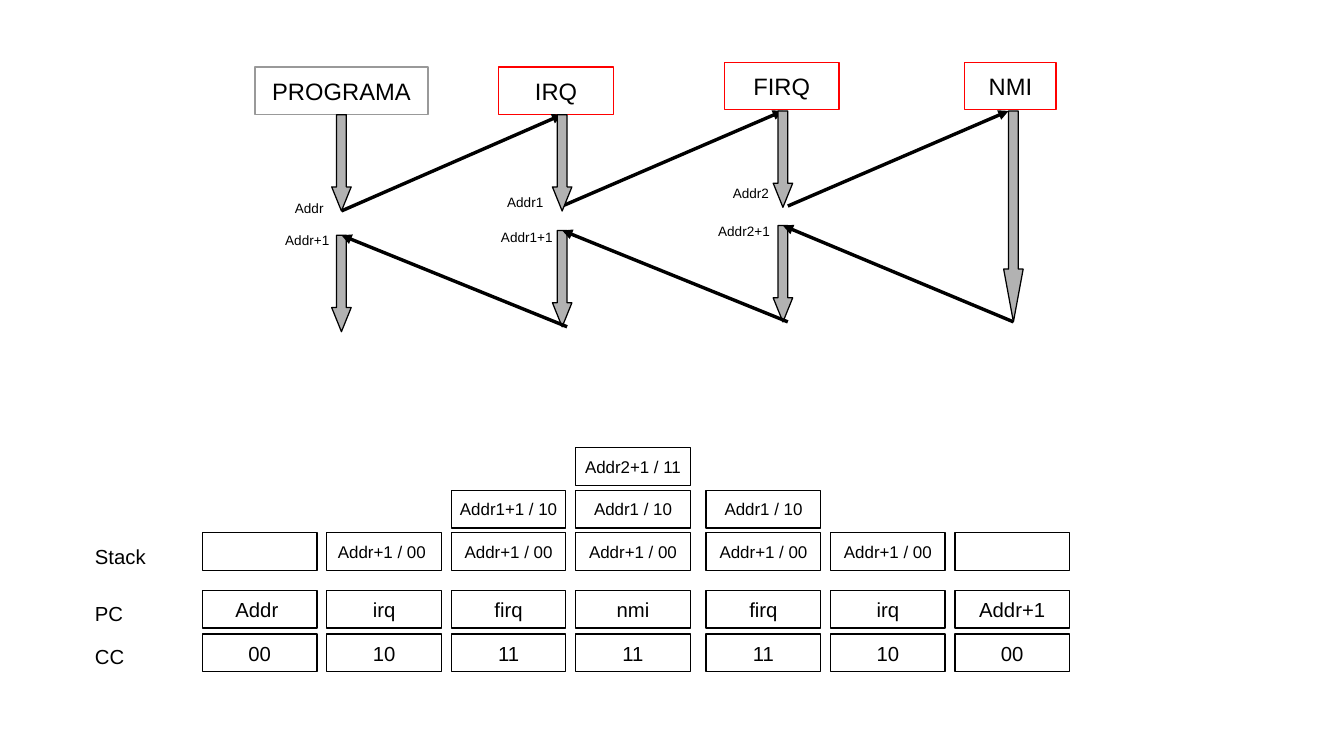
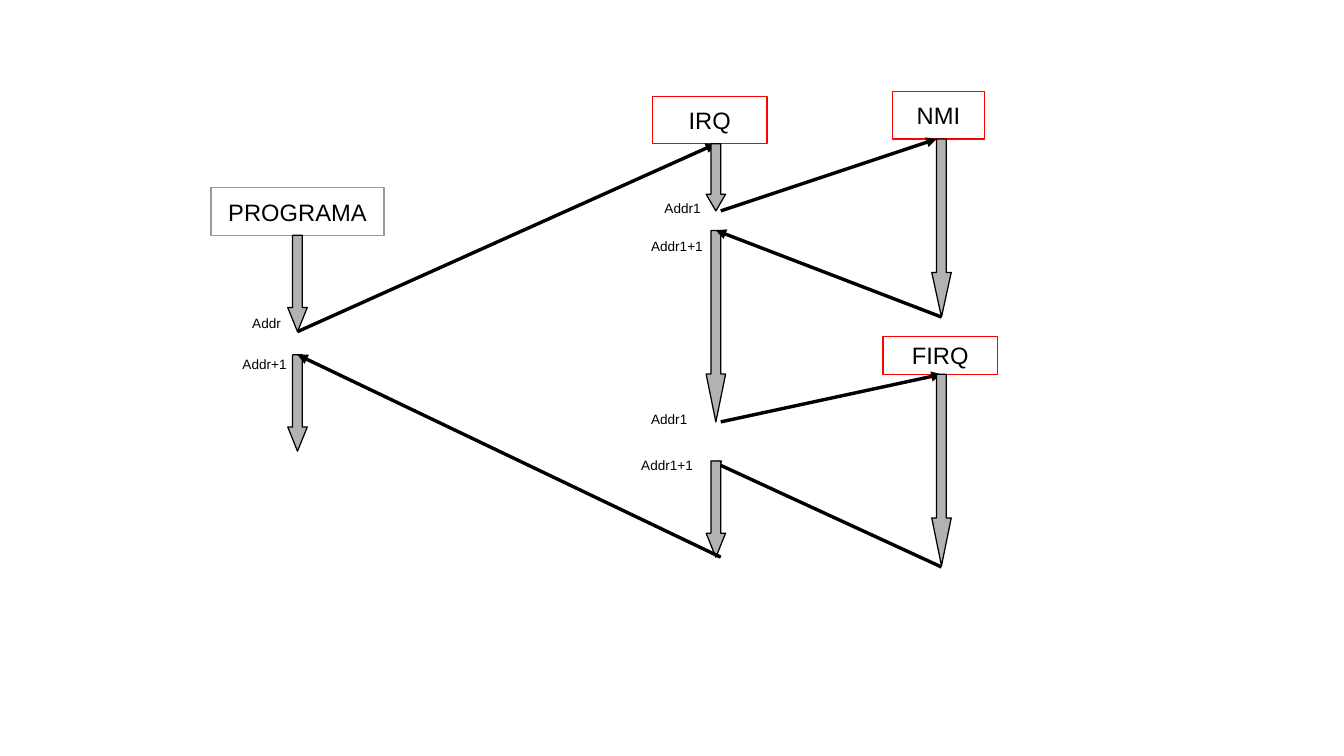
"""Build two slides that trace nested interrupts and the stack they leave."""
from dataclasses import dataclass
from typing import Any

from lxml.etree import SubElement
from pptx import Presentation
from pptx.dml.color import RGBColor
from pptx.dml.line import LineFormat
from pptx.enum.shapes import MSO_CONNECTOR, MSO_SHAPE
from pptx.enum.text import MSO_ANCHOR, MSO_AUTO_SIZE, PP_ALIGN
from pptx.oxml.ns import qn
from pptx.shapes.autoshape import Shape
from pptx.slide import Slide
from pptx.util import Inches, Pt

COLOURS = {
    "text": "000000",
    "outline": "000000",
    "paper": "FFFFFF",
    "arrow": "B2B2B2",
    "program": "999999",
    "interrupt": "FF0000",
}
FONT = "Arial"
MARGINS = {
    "margin_left": Inches(0.1),
    "margin_right": Inches(0.1),
    "margin_top": Inches(0.05),
    "margin_bottom": Inches(0.05),
}
BOX_FORMAT = {**MARGINS, "word_wrap": False, "vertical_anchor": MSO_ANCHOR.MIDDLE}
LABEL_FORMAT = {**MARGINS, "word_wrap": True, "auto_size": MSO_AUTO_SIZE.SHAPE_TO_FIT_TEXT}
CAPTION_FORMAT = {**LABEL_FORMAT, "word_wrap": False}
ARROW_WIDTH = 0.16
HEAD_SHARE = 0.25
CELL_WIDTH, CELL_HEIGHT = 0.94, 0.31
COLUMN_LEFT, COLUMN_STEP = 1.66, 1.02
RETURN_COLUMN, RETURN_GAP = 4, 0.05
STACK_TOP, STACK_STEP, PC_TOP, CC_TOP = 4.37, 0.35, 4.84, 5.2


@dataclass(frozen=True)
class Box:
    """A framed name or value."""

    text: str
    left: float
    top: float
    width: float = CELL_WIDTH
    height: float = 0.39
    outline: str = "interrupt"
    size: int = 14


@dataclass(frozen=True)
class Run:
    """A stretch of execution, drawn as a block arrow."""

    centre: float
    top: float
    height: float = 0.79


@dataclass(frozen=True)
class Jump:
    """A thin arrow between two routines."""

    start: tuple[float, float]
    end: tuple[float, float]


@dataclass(frozen=True)
class Label:
    """A short address beside a block arrow."""

    text: str
    left: float
    top: float
    width: float = 0.63


@dataclass(frozen=True)
class Flow:
    """Everything in one interrupt diagram; calls lie behind the runs."""

    boxes: list[Box]
    calls: list[Jump]
    runs: list[Run]
    returns: list[Jump]
    labels: list[Label]


@dataclass(frozen=True)
class Step:
    """The machine state at one moment, with the stack from the bottom up."""

    stack: list[str]
    pc: str
    cc: str


NESTED_FLOW = Flow(
    boxes=[
        Box("PROGRAMA", 2.09, 0.55, 1.42, outline="program"),
        Box("IRQ", 4.09, 0.55),
        Box("FIRQ", 5.94, 0.51),
        Box("NMI", 7.91, 0.51, 0.75),
    ],
    calls=[
        Jump((2.8, 1.73), (4.61, 0.94)),
        Jump((4.61, 1.69), (6.42, 0.91)),
        Jump((6.46, 1.69), (8.27, 0.91)),
    ],
    runs=[
        Run(2.8, 0.94),
        Run(2.8, 1.93),
        Run(4.61, 0.94),
        Run(4.61, 1.89),
        Run(6.42, 0.91),
        Run(6.42, 1.85),
        Run(8.31, 0.91, 1.73),
    ],
    returns=[
        Jump((4.65, 2.68), (2.8, 1.93)),
        Jump((8.31, 2.64), (6.42, 1.85)),
        Jump((6.46, 2.64), (4.61, 1.89)),
    ],
    labels=[
        Label("Addr", 2.32, 1.59, 0.47),
        Label("Addr+1", 2.24, 1.85),
        Label("Addr1", 4.06, 1.54, 0.55),
        Label("Addr1+1", 4.01, 1.83),
        Label("Addr2", 5.91, 1.47, 0.55),
        Label("Addr2+1", 5.79, 1.78),
    ],
)
SEQUENTIAL_FLOW = Flow(
    boxes=[
        Box("PROGRAMA", 1.73, 1.54, 1.42, outline="program"),
        Box("IRQ", 5.35, 0.79),
        Box("FIRQ", 7.24, 2.76, height=0.31),
        Box("NMI", 7.32, 0.75, 0.75),
    ],
    calls=[
        Jump((2.44, 2.72), (5.87, 1.18)),
        Jump((5.91, 1.73), (7.68, 1.14)),
        Jump((5.91, 3.46), (7.72, 3.07)),
        Jump((7.72, 4.65), (5.83, 3.78)),
    ],
    runs=[
        Run(2.44, 1.93),
        Run(2.44, 2.91),
        Run(5.87, 1.18, 0.55),
        Run(5.87, 1.89, 1.57),
        Run(5.87, 3.78),
        Run(7.72, 1.14, 1.46),
        Run(7.72, 3.07, 1.57),
    ],
    returns=[
        Jump((5.91, 4.57), (2.44, 2.91)),
        Jump((7.72, 2.6), (5.87, 1.89)),
    ],
    labels=[
        Label("Addr", 1.97, 2.53, 0.47),
        Label("Addr+1", 1.89, 2.87),
        Label("Addr1", 5.35, 1.59, 0.55),
        Label("Addr1+1", 5.24, 1.9),
        Label("Addr1", 5.24, 3.32, 0.55),
        Label("Addr1+1", 5.16, 3.7),
    ],
)
STEPS = [
    Step([""], "Addr ", "00"),
    Step(["Addr+1 / 00 "], "irq", "10"),
    Step(["Addr+1 / 00", "Addr1+1 / 10"], "firq", "11"),
    Step(["Addr+1 / 00", "Addr1 / 10", "Addr2+1 / 11"], "nmi", "11"),
    Step(["Addr+1 / 00", "Addr1 / 10"], "firq", "11"),
    Step(["Addr+1 / 00"], "irq", "10"),
    Step([""], "Addr+1", "00"),
]
CAPTIONS = [
    Label("Stack", 0.68, 4.41, 0.62),
    Label("PC", 0.68, 4.88, 0.43),
    Label("CC", 0.68, 5.23, 0.44),
]


def colour(name: str) -> RGBColor:
    """Look up a colour of the palette."""
    return RGBColor.from_string(COLOURS[name])


def set_line(line: LineFormat, name: str) -> None:
    """Give a line its colour and hairline width."""
    line.color.rgb = colour(name)
    line.width = Pt(0)


def write_text(shape: Shape, text: str, size: int, frame_format: dict[str, Any],
               alignment: PP_ALIGN = PP_ALIGN.LEFT) -> None:
    """Write one formatted paragraph into a shape."""
    frame = shape.text_frame
    for name, value in frame_format.items():
        setattr(frame, name, value)
    paragraph = frame.paragraphs[0]
    paragraph.alignment = alignment
    run = paragraph.add_run()
    run.text = text
    for name, value in {"name": FONT, "size": Pt(size)}.items():
        setattr(run.font, name, value)
    run.font.color.rgb = colour("text")


def add_block(slide: Slide, kind: MSO_SHAPE, left: float, top: float, width: float,
              height: float, fill: str, outline: str) -> Shape:
    """Draw a filled preset shape with a hairline outline."""
    shape = slide.shapes.add_shape(kind, Inches(left), Inches(top), Inches(width), Inches(height))
    shape.shadow.inherit = False
    shape.fill.solid()
    shape.fill.fore_color.rgb = colour(fill)
    set_line(shape.line, outline)
    return shape


def draw_box(slide: Slide, box: Box) -> None:
    """Draw a framed box with its text, if any."""
    shape = add_block(slide, MSO_SHAPE.RECTANGLE, box.left, box.top, box.width, box.height,
                      "paper", box.outline)
    if box.text:
        write_text(shape, box.text, box.size, BOX_FORMAT, PP_ALIGN.CENTER)


def draw_run(slide: Slide, run: Run) -> None:
    """Draw a block arrow whose head is a fixed share of its height."""
    shape = add_block(slide, MSO_SHAPE.DOWN_ARROW, run.centre - ARROW_WIDTH / 2, run.top,
                      ARROW_WIDTH, run.height, "arrow", "outline")
    shape.adjustments[0] = 0.5
    shape.adjustments[1] = HEAD_SHARE * run.height / ARROW_WIDTH


def draw_jump(slide: Slide, jump: Jump) -> None:
    """Draw a thin line that ends in an arrowhead."""
    points = [Inches(value) for value in (*jump.start, *jump.end)]
    connector = slide.shapes.add_connector(MSO_CONNECTOR.STRAIGHT, *points)
    set_line(connector.line, "outline")
    properties = connector._element.spPr
    SubElement(properties.find(qn("a:ln")), qn("a:tailEnd"), type="triangle")
    SubElement(properties, qn("a:effectLst"))


def draw_label(slide: Slide, label: Label, size: int, height: float,
               frame_format: dict[str, Any]) -> None:
    """Draw unframed text."""
    shape = slide.shapes.add_textbox(Inches(label.left), Inches(label.top),
                                     Inches(label.width), Inches(height))
    write_text(shape, label.text, size, frame_format)


def draw_flow(slide: Slide, flow: Flow) -> None:
    """Draw an interrupt diagram from back to front."""
    for box in flow.boxes:
        draw_box(slide, box)
    for call in flow.calls:
        draw_jump(slide, call)
    for run in flow.runs:
        draw_run(slide, run)
    for jump in flow.returns:
        draw_jump(slide, jump)
    for label in flow.labels:
        draw_label(slide, label, 8, 0.22, LABEL_FORMAT)


def draw_steps(slide: Slide) -> None:
    """Draw the stack, PC and CC of every step, one column each."""
    for caption in CAPTIONS:
        draw_label(slide, caption, 12, 0.29, CAPTION_FORMAT)
    for column, step in enumerate(STEPS):
        left = COLUMN_LEFT + column * COLUMN_STEP + RETURN_GAP * (column >= RETURN_COLUMN)
        cells = [(text, STACK_TOP - level * STACK_STEP, 10) for level, text in enumerate(step.stack)]
        cells += [(step.pc, PC_TOP, 12), (step.cc, CC_TOP, 12)]
        for text, top, size in cells:
            draw_box(slide, Box(text, left, top, CELL_WIDTH, CELL_HEIGHT, "outline", size))


def main() -> None:
    """Build and save the presentation."""
    presentation = Presentation()
    presentation.slide_width = Inches(11.02)
    presentation.slide_height = Inches(6.2)
    blank = presentation.slide_layouts[6]
    nested, sequential = (presentation.slides.add_slide(blank) for _ in range(2))
    draw_flow(nested, NESTED_FLOW)
    draw_steps(nested)
    draw_flow(sequential, SEQUENTIAL_FLOW)
    presentation.save("out.pptx")


if __name__ == "__main__":
    main()
